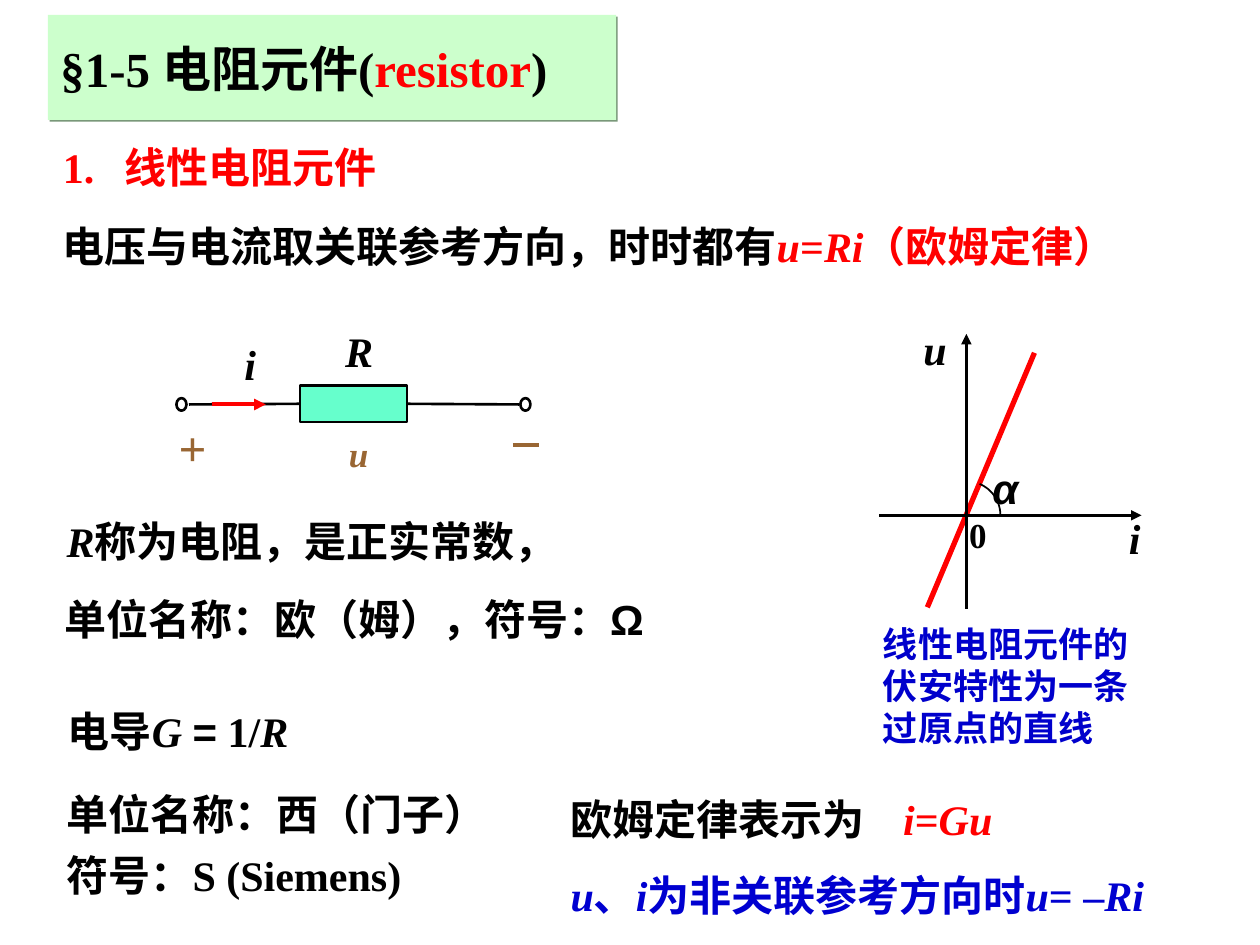
import math
from dataclasses import dataclass

from lxml import etree
from pptx import Presentation
from pptx.dml.color import RGBColor
from pptx.enum.shapes import MSO_CONNECTOR, MSO_SHAPE
from pptx.enum.text import MSO_ANCHOR, MSO_AUTO_SIZE, PP_ALIGN
from pptx.oxml.ns import qn
from pptx.util import Inches, Pt

STRAIGHT = MSO_CONNECTOR.STRAIGHT
RECTANGLE, OVAL = MSO_SHAPE.RECTANGLE, MSO_SHAPE.OVAL
MIDDLE = MSO_ANCHOR.MIDDLE
GROW = MSO_AUTO_SIZE.SHAPE_TO_FIT_TEXT
LEFT, CENTER = PP_ALIGN.LEFT, PP_ALIGN.CENTER


@dataclass(frozen=True)
class Theme:
    serif: str = "Times New Roman"
    sans: str = "Arial"
    black: str = "000000"
    red: str = "FF0000"
    blue: str = "0000CC"
    remark: str = "0000D0"
    brown: str = "996633"
    white: str = "FFFFFF"
    title_fill: str = "CCFFCC"
    title_shadow: str = "799879"
    resistor_fill: str = "66FFCC"
    title_size: int = 28
    body_size: int = 24
    small_size: int = 20


THEME = Theme()


def rgb(color):
    return RGBColor.from_string(color)


def run(text, color=THEME.black, italic=False, font=THEME.serif):
    return text, color, italic, font


def fill_text(frame, paragraphs, size, align=LEFT, spacing=None, tab=None, wrap=True):
    """Write paragraphs, each a list of runs, into a text frame."""
    frame.word_wrap = wrap
    frame.auto_size = GROW
    frame.vertical_anchor = MIDDLE
    for index, runs in enumerate(paragraphs):
        paragraph = frame.paragraphs[0] if index == 0 else frame.add_paragraph()
        paragraph.alignment = align
        if spacing:
            paragraph.line_spacing = spacing
        if tab:
            stops = etree.SubElement(paragraph._p.get_or_add_pPr(), qn("a:tabLst"))
            etree.SubElement(stops, qn("a:tab"), pos=str(Inches(tab)), algn="l")
        for text, color, italic, font in runs:
            part = paragraph.add_run()
            part.text = text
            part.font.name = font
            part.font.size = Pt(size)
            part.font.bold = True
            part.font.italic = italic
            part.font.color.rgb = rgb(color)


def add_text(shapes, box, *paragraphs, size=THEME.body_size, **style):
    holder = shapes.add_textbox(*map(Inches, box))
    fill_text(holder.text_frame, paragraphs, size, **style)


def add_label(shapes, box, label, size=THEME.body_size):
    add_text(shapes, box, [label], size=size, align=CENTER, wrap=False)


def add_line(shapes, start, end, color=THEME.black, width=1.5, arrow=False):
    line = shapes.add_connector(STRAIGHT, *map(Inches, (*start, *end)))
    line.line.color.rgb = rgb(color)
    line.line.width = Pt(width)
    if arrow:
        etree.SubElement(line.line._get_or_add_ln(), qn("a:tailEnd"), type="triangle")
    etree.SubElement(line._element.spPr, qn("a:effectLst"))
    return line


def add_outlined(shapes, kind, box, fill):
    shape = shapes.add_shape(kind, *map(Inches, box))
    shape.shadow.inherit = False
    shape.fill.solid()
    shape.fill.fore_color.rgb = rgb(fill)
    shape.line.color.rgb = rgb(THEME.black)
    shape.line.width = Pt(1.5)
    return shape


def place_title(slide, box):
    title = slide.shapes.title
    title.left, title.top, title.width, title.height = map(Inches, box)
    title.fill.solid()
    title.fill.fore_color.rgb = rgb(THEME.title_fill)
    effects = etree.SubElement(title._element.spPr, qn("a:effectLst"))
    shadow = etree.SubElement(effects, qn("a:outerShdw"), dist=str(Pt(1.4)),
                              dir=str(45 * 60000), algn="ctr", rotWithShape="0")
    etree.SubElement(shadow, qn("a:srgbClr"), val=THEME.title_shadow)
    heading = [run("§1-5 电阻元件("), run("resistor", THEME.red), run(")")]
    fill_text(title.text_frame, [heading], THEME.title_size)


def place_linear_law(shapes, left, top):
    add_text(shapes, (left, top, 4.07, 0.5),
             [run("1.\t线性电阻元件", THEME.red)], tab=0.49)
    add_text(shapes, (left, top + 0.63, 8.96, 0.5),
             [run("电压与电流取关联参考方向，时时都有"), run("u", THEME.red, True),
              run("=", THEME.red), run("Ri", THEME.red, True),
              run("（欧姆定律）", THEME.red)])


def place_circuit(shapes, left, top):
    """Draw the resistor between its two terminals, with voltage and current."""
    parts = shapes.add_group_shape().shapes
    wire_y = top + 0.68
    resistor = add_outlined(parts, RECTANGLE, (left + 1.06, top + 0.53, 0.85, 0.29),
                            THEME.resistor_fill)
    for terminal_x, side in ((left + 0.18, 1), (left + 2.8, 3)):
        wire = add_line(parts, (terminal_x, wire_y), (left + 1.5, wire_y))
        wire.end_connect(resistor, side)
    for terminal_left in (left + 0.08, left + 2.81):
        add_outlined(parts, OVAL, (terminal_left, wire_y - 0.05, 0.08, 0.1), THEME.white)
    add_line(parts, (left + 0.36, wire_y), (left + 0.79, wire_y),
             THEME.red, 2.25, arrow=True)
    add_line(parts, (left + 2.75, top + 1), (left + 2.96, top + 1), THEME.brown, 2.25)
    add_label(parts, (left + 1.32, top, 0.42, 0.5), run("R", italic=True))
    add_label(parts, (left + 0.52, top + 0.11, 0.29, 0.5), run("i", italic=True))
    add_label(parts, (left, top + 0.73, 0.32, 0.57), run("+", THEME.brown),
              THEME.title_size)
    add_label(parts, (left + 1.35, top + 0.85, 0.35, 0.44),
              run("u", THEME.brown, True), THEME.small_size)


def place_characteristic(shapes, origin_x, origin_y):
    """Draw the u-i plot around its origin, with the caption below."""
    parts = shapes.add_group_shape().shapes
    start = (origin_x - 0.31, origin_y + 0.73)
    end = (origin_x + 0.54, origin_y - 1.29)
    add_line(parts, end, start, THEME.red, 3)

    slope = math.atan2(start[1] - end[1], end[0] - start[0])
    radius, steps = 0.27, 16
    arc = [(Inches(origin_x + radius * math.cos(slope * step / steps)),
            Inches(origin_y - radius * math.sin(slope * step / steps)))
           for step in range(steps + 1)]
    builder = parts.build_freeform(*arc[0])
    builder.add_line_segments(arc[1:], close=False)
    angle = builder.convert_to_shape()
    angle.shadow.inherit = False
    angle.fill.background()
    angle.line.color.rgb = rgb(THEME.black)
    angle.line.width = Pt(1)

    add_line(parts, (origin_x - 0.69, origin_y), (origin_x + 1.39, origin_y), arrow=True)
    add_line(parts, (origin_x, origin_y + 0.74), (origin_x, origin_y - 1.44), arrow=True)
    add_label(parts, (origin_x + 0.03, origin_y - 0.47, 0.56, 0.5),
              run("α", italic=True, font=THEME.sans))
    add_label(parts, (origin_x - 0.44, origin_y - 1.57, 0.38, 0.5), run("u", italic=True))
    add_label(parts, (origin_x + 1.19, origin_y - 0.07, 0.29, 0.5), run("i", italic=True))
    add_label(parts, (origin_x - 0.08, origin_y - 0.07, 0.34, 0.44), run("0"),
              THEME.small_size)
    add_text(shapes, (origin_x - 0.76, origin_y + 0.8, 2.36, 1.1),
             [run("线性电阻元件的伏安特性为一条过原点的直线", THEME.blue)],
             size=THEME.small_size)


def place_units(shapes, left, top):
    """State resistance and conductance with their units."""
    add_text(shapes, (left, top, 4.57, 0.5),
             [run("R", italic=True), run("称为电阻，是正实常数，")])
    add_text(shapes, (left - 0.02, top + 0.62, 5.08, 0.5),
             [run("单位名称：欧（姆），符号："), run("Ω", font=THEME.sans)])
    add_text(shapes, (left + 0.01, top + 1.51, 2.29, 0.5),
             [run("电导"), run("G ", italic=True), run("=", font=THEME.sans),
              run(" 1/"), run("R", italic=True)])
    add_text(shapes, (left, top + 2.09, 3.79, 1.06),
             [run("单位名称：西（门子）")], [run("符号：S (Siemens)")], spacing=1.2)


def place_conductance_law(shapes, left, top):
    add_text(shapes, (left, top, 3.96, 0.5),
             [run("欧姆定律表示为\t"), run("i", THEME.red, True),
              run("=", THEME.red), run("Gu", THEME.red, True)], tab=2.64)
    remark = [("u", True), ("、", False), ("i", True), ("为非关联参考方向时", False),
              ("u", True), ("= –", False), ("Ri", True)]
    add_text(shapes, (left, top + 0.6, 5.19, 0.5),
             [run(text, THEME.remark, italic) for text, italic in remark])


def main():
    deck = Presentation()
    deck.slide_width, deck.slide_height = Inches(10), Inches(7.5)
    slide = deck.slides.add_slide(deck.slide_layouts[5])
    place_title(slide, (0.38, 0.25, 4.51, 0.57))
    place_linear_law(slide.shapes, 0.4, 1.07)
    place_circuit(slide.shapes, 1.32, 2.53)
    place_characteristic(slide.shapes, 7.67, 4.09)
    place_units(slide.shapes, 0.43, 4.04)
    place_conductance_law(slide.shapes, 4.43, 6.25)
    deck.save("out.pptx")


if __name__ == "__main__":
    main()
